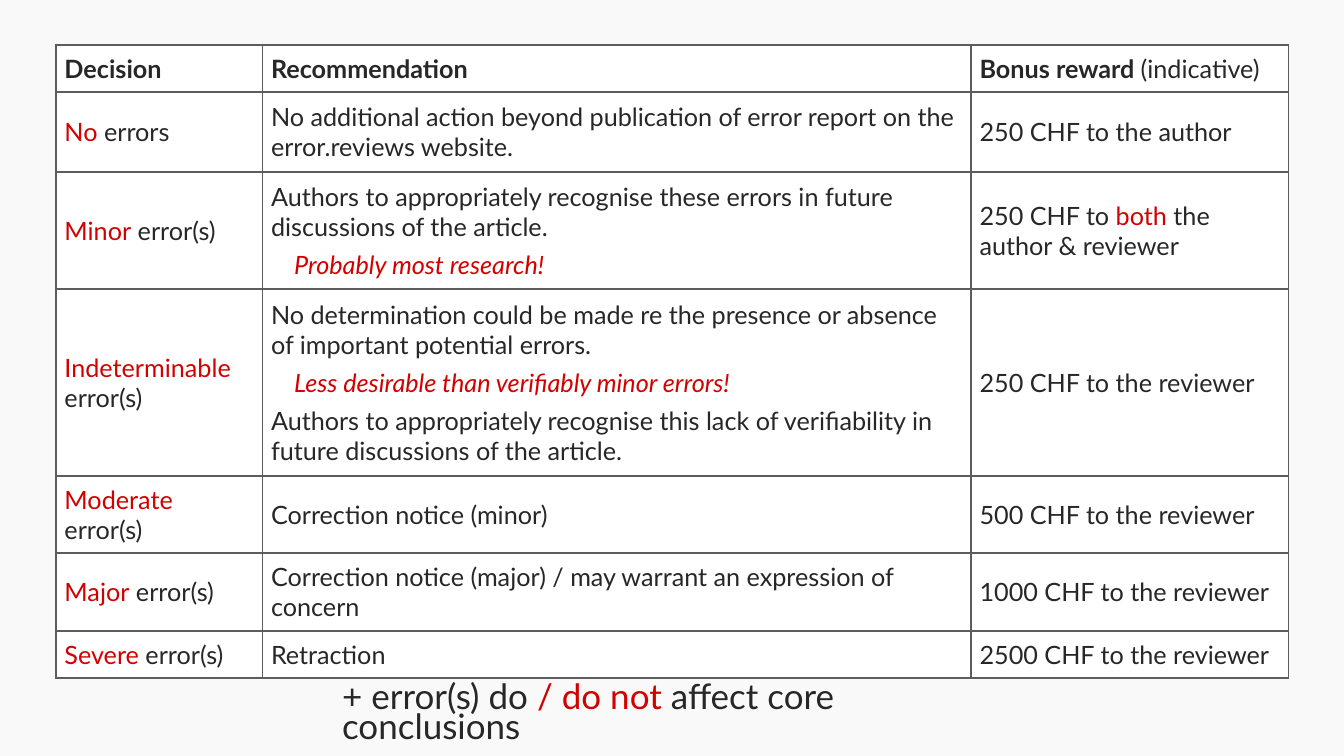
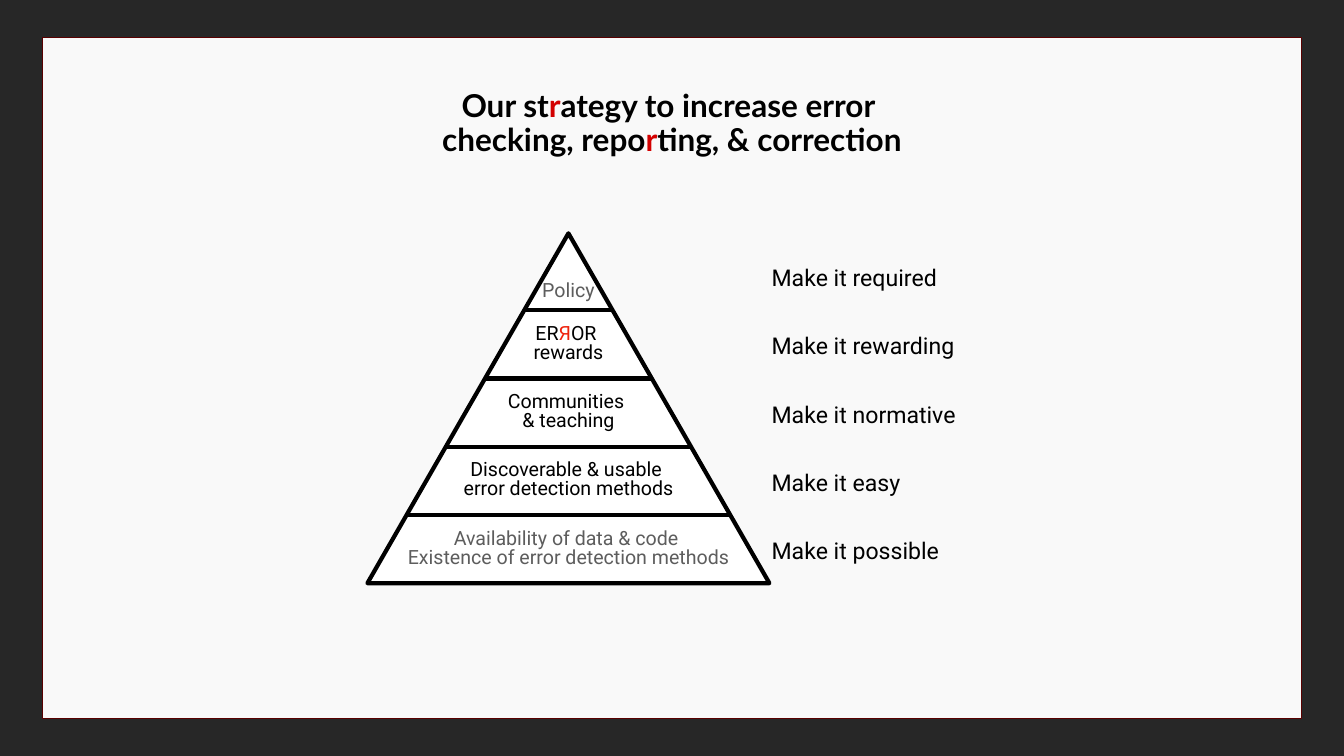
"""Build two slides: the error decision table and the error checking strategy pyramid."""
from lxml import etree
from pptx import Presentation
from pptx import util as u
from pptx.dml.color import RGBColor
from pptx.enum import shapes, text
from pptx.oxml.ns import qn

COLORS = {"dark": "272727", "panel": "F9F9F9", "red": "D30000", "white": "FFFFFF",
          "black": "000000", "gray": "5D5D5D", "frame": "590000", "logo": "EE220C"}
SLIDE = (67.74, 38.1)

BODY = {"size": u.Pt(36), "name": "Lato", "bold": False, "italic": False}
HEAD = {**BODY, "bold": True}
ASIDE = {**BODY, "italic": True}
FOOT = {"size": u.Pt(50), "name": "Lato"}
TITLE = {"size": u.Pt(45), "name": "Lato", "bold": True}
GOAL = {"size": u.Pt(33), "name": "Roboto"}
LEVEL = {"size": u.Pt(28), "name": "Roboto"}

TABLE_AT = (2.82, 2.26)
COLS = (10.41, 35.71, 16)
HEADER = [["Decision"], ["Recommendation"], ["Bonus reward ", ("(indicative)", "dark", BODY)]]
ROWS = [
    (2.11, None),
    (4.01, ("No", " errors",
            [["No additional action beyond publication of error report on the error.reviews website."]],
            ["250 CHF to the author"])),
    (5.92, ("Minor", " error(s)",
            [["Authors to appropriately recognise these errors in future discussions of the article."],
             [("Probably most research!", "red", ASIDE)]],
            ["250 CHF to ", ("both", "red"), " the author & reviewer"])),
    (9.4, ("Indeterminable ", "error(s)",
           [["No determination could be made re the presence or absence of important potential errors."],
            [("Less desirable than verifiably minor errors!", "red", ASIDE)],
            ["Authors to appropriately recognise this lack of verifiability in future discussions "
             "of the article."]],
           ["250 CHF to the reviewer"])),
    (2.62, ("Moderate", " error(s)", [["Correction notice (minor)"]], ["500 CHF to the reviewer"])),
    (2.16, ("Major", " error(s)",
            [["Correction notice (major) / may warrant an expression of concern"]],
            ["1000 CHF to the reviewer"])),
    (2.36, ("Severe", " error(s)", [["Retraction"]], ["2500 CHF to the reviewer"])),
]
FOOTNOTE = [["+ error(s) do ", ("/ do not", "red"), " affect core conclusions"]]

STRATEGY = [["Our st", ("r", "red"), "ategy to increase error "],
            ["checking, repo", ("r", "red"), "ting, & correction"]]
LEVELS = [
    ("Make it required", "gray", [["Policy"]]),
    ("Make it rewarding", "black", [["ER", ("Я", "logo"), "OR "], ["rewards"]]),
    ("Make it normative", "black", [["Communities "], ["& teaching"]]),
    ("Make it easy", "black", [["Discoverable & usable "], ["error detection methods"]]),
    ("Make it possible", "gray", [["Availability of data & code "],
                                  ["Existence of error detection methods"]]),
]
APEX, BASE, HALF, BAND = (28.65, 11.76), 29.39, 10.13, 3.44


def cm(*values):
    return [u.Cm(v) for v in values]


def rgb(key):
    return RGBColor.from_string(COLORS[key])


def paint(sp, fill, line=None, width=0):
    sp.shadow.inherit = False
    sp.fill.solid()
    sp.fill.fore_color.rgb = rgb(fill)
    if line:
        sp.line.color.rgb, sp.line.width = rgb(line), u.Pt(width)
    else:
        sp.line.fill.background()


def write(tf, paras, fmt, color, spacing=None, align=None, gap=0):
    for i, runs in enumerate(paras):
        p = tf.add_paragraph() if i else tf.paragraphs[0]
        p.alignment, p.line_spacing = align, spacing
        if i and gap:
            p.space_before = u.Pt(gap)
        for run in runs:
            words, key, style = run if len(run) == 3 and isinstance(run, tuple) else (
                (*run, fmt) if isinstance(run, tuple) else (run, color, fmt))
            if style is ASIDE:
                p._p.get_or_add_pPr().set("marL", str(u.Cm(1.17)))
            r = p.add_run()
            r.text = words
            r.font.color.rgb = rgb(key)
            for name, value in style.items():
                setattr(r.font, name, value)


def add_text(s, box, paras, fmt, color, spacing, align=None, inset=0.15, anchor="MIDDLE"):
    tf = s.shapes.add_textbox(*cm(*box)).text_frame
    tf.word_wrap = True
    tf.auto_size = text.MSO_AUTO_SIZE.SHAPE_TO_FIT_TEXT
    tf.vertical_anchor = getattr(text.MSO_ANCHOR, anchor)
    for side in ("left", "right", "top", "bottom"):
        setattr(tf, "margin_" + side, u.Cm(inset))
    write(tf, paras, fmt, color, spacing, align)


def add_slide(prs, box, line=None, width=0):
    s = prs.slides.add_slide(prs.slide_layouts[6])
    s.background.fill.solid()
    s.background.fill.fore_color.rgb = rgb("dark")
    paint(s.shapes.add_shape(shapes.MSO_SHAPE.RECTANGLE, *cm(*box)), "panel", line, width)
    return s


def add_cell(cell, paras, fmt):
    tcPr = cell._tc.get_or_add_tcPr()
    for side in ("lnL", "lnR", "lnT", "lnB"):
        ln = etree.SubElement(tcPr, qn("a:" + side), w=str(u.Pt(3)))
        fill = etree.SubElement(ln, qn("a:solidFill"))
        etree.SubElement(fill, qn("a:srgbClr"), val=COLORS["gray"])
    cell.fill.solid()
    cell.fill.fore_color.rgb = rgb("white")
    cell.vertical_anchor = text.MSO_ANCHOR.MIDDLE
    for side in ("left", "right", "top", "bottom"):
        setattr(cell, "margin_" + side, u.Cm(0.43))
    write(cell.text_frame, paras, fmt, "dark", gap=11)


def decision_slide(prs):
    s = add_slide(prs, (0, 0, *SLIDE))
    add_text(s, (16.99, 34.34, 33.73, 2.59), FOOTNOTE, FOOT, "dark", 0.7, inset=0.25, anchor="TOP")
    size = (sum(COLS), sum(height for height, _ in ROWS))
    tbl = s.shapes.add_table(len(ROWS), len(COLS), *cm(*TABLE_AT, *size)).table
    tbl.horz_banding = False
    for col, width in zip(tbl.columns, COLS):
        col.width = u.Cm(width)
    for i, (height, row) in enumerate(ROWS):
        tbl.rows[i].height = u.Cm(height)
        if row:
            decision, noun, advice, reward = row
            cells, fmt = [[[(decision, "red"), noun]], advice, [reward]], BODY
        else:
            cells, fmt = [[runs] for runs in HEADER], HEAD
        for j, paras in enumerate(cells):
            add_cell(tbl.cell(i, j), paras, fmt)


def strategy_slide(prs):
    s = add_slide(prs, (2.13, 1.88, 63.47, 34.32), "frame", 2)
    center = text.PP_ALIGN.CENTER
    add_text(s, (11.68, 4.29, 44.37, 3.94), STRATEGY, TITLE, "black", 0.9, center)

    x, top = APEX
    fb = s.shapes.build_freeform(*cm(x, top))
    fb.add_line_segments([cm(x + HALF, BASE), cm(x - HALF, BASE)], close=True)
    paint(fb.convert_to_shape(), "white", "black", 6)

    bottoms = [BASE - BAND * k for k in reversed(range(len(LEVELS)))]
    for y in bottoms:
        half = min(HALF * (y - top) / (BASE - top), 8.3)
        line = s.shapes.add_connector(shapes.MSO_CONNECTOR.STRAIGHT, *cm(x - half, y, x + half, y))
        line.line.color.rgb, line.line.width = rgb("black"), u.Pt(6)
        etree.SubElement(line._element.spPr, qn("a:effectLst"))

    for y, (goal, color, paras) in zip(bottoms, LEVELS):
        middle = y - BAND / 2
        add_text(s, (38.74, middle - 0.83, 10.49, 1.65), [[goal]], GOAL, "black", 1.1)
        width = 17.68 if y == BASE else 13.72
        height = 0.51 + 0.94 * len(paras)
        if len(paras) == 1:
            middle = y - 0.9
        add_text(s, (x - width / 2, middle - height / 2, width, height), paras, LEVEL, color, 0.8, center)


def main():
    prs = Presentation()
    prs.slide_width, prs.slide_height = cm(*SLIDE)
    decision_slide(prs)
    strategy_slide(prs)
    prs.save("out.pptx")


if __name__ == "__main__":
    main()
